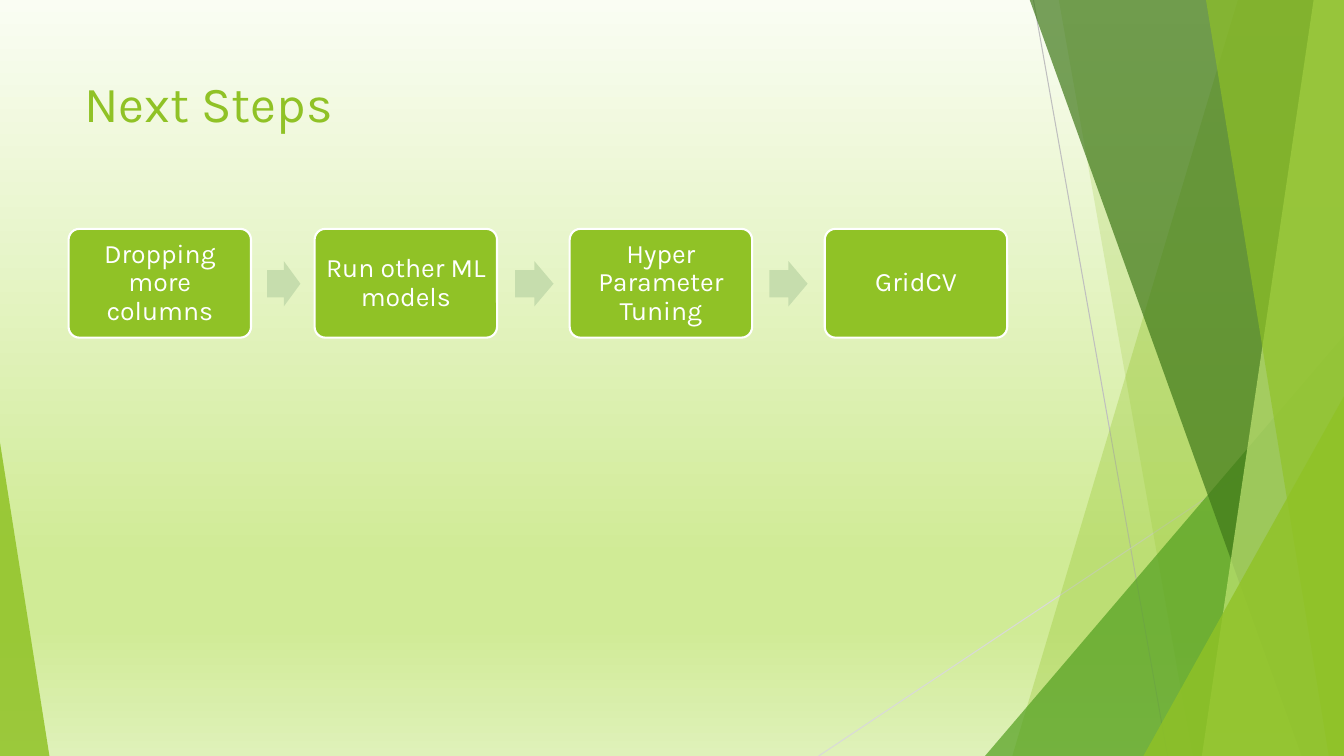
"""Build the Next Steps slide: a four-box process over green facets."""
from pptx import Presentation
from pptx.dml.color import RGBColor
from pptx.enum.shapes import MSO_CONNECTOR, MSO_SHAPE
from pptx.enum.text import MSO_ANCHOR, PP_ALIGN
from pptx.oxml.ns import qn
from pptx.util import Inches, Pt
from lxml.etree import SubElement


def paint(fill, color, alpha=100):
    fill.solid()
    fill.fore_color.rgb = RGBColor.from_string(color)
    if alpha < 100:
        node = fill._xPr.find(".//" + qn("a:srgbClr"))
        SubElement(node, qn("a:alpha"), val=str(alpha * 1000))


def write(frame, text, size, color):
    frame.word_wrap = True
    para = frame.paragraphs[0]
    run = para.add_run()
    run.text = text
    run.font.name, run.font.size = "Karla", Pt(size)
    run.font.color.rgb = RGBColor.from_string(color)
    return para


GREEN = "90C226"
WHITE = "FFFFFF"
deck = Presentation()
deck.slide_width, deck.slide_height = Inches(13.33), Inches(7.5)
slide = deck.slides.add_slide(deck.slide_layouts[6])
shapes = slide.shapes

back = slide.background.fill
back.gradient()
back.gradient_angle = 270
stops = slide.element.find(".//" + qn("a:gsLst"))
for stop in list(stops):
    stops.remove(stop)
for pos, color in [(0, "FAFDF3"), (74, "D0EB96"), (83, "D0EB96"), (100, "DFF1B9")]:
    stop = SubElement(stops, qn("a:gs"), pos=str(pos * 1000))
    SubElement(stop, qn("a:srgbClr"), val=color)

for ends, color in [((10.25, 0, 11.58, 7.5), "BFBFBF"),
                    ((13.33, 4.03, 8.12, 7.5), "D9D9D9")]:
    line = shapes.add_connector(MSO_CONNECTOR.STRAIGHT, *map(Inches, ends))
    paint(line.line.fill, color)
    line.line.width = Pt(0.75)
    SubElement(line.element.spPr, qn("a:effectLst"))

facets = [
    ("slant", (12.28, 10.04), GREEN, 30),
    ("slant", (10.5, 11.83), GREEN, 20),
    ("wedge", (9.77, 3.33, 3.56, 4.17, 1), "54A021", 72),
    ("slant", (10.21, 12.91), "3F7819", 70),
    ("slant", (13.03, 11.92), "C0E474", 70),
    ("slant", (11.96, 13.18), GREEN, 65),
    ("wedge", (11.34, 3.93, 1.99, 3.57, 1), GREEN, 80),
    ("wedge", (0, 4.39, 0.49, 3.11, 0), GREEN, 85),
]
for kind, dims, color, alpha in facets:
    if kind == "slant":
        top, foot = dims
        path = shapes.build_freeform(Inches(top), Inches(-0.01))
        rest = [(13.33, -0.01), (13.33, 7.5), (foot, 7.5)]
        path.add_line_segments([(Inches(x), Inches(y)) for x, y in rest])
        facet = path.convert_to_shape()
    else:
        *place, tip = dims
        facet = shapes.add_shape(MSO_SHAPE.ISOSCELES_TRIANGLE, *map(Inches, place))
        facet.adjustments[0] = tip
    facet.shadow.inherit = False
    facet.line.fill.background()
    paint(facet.fill, color, alpha)

title = shapes.add_textbox(Inches(0.74), Inches(0.67), Inches(9.4), Inches(1.44))
write(title.text_frame, "Next Steps", 36, GREEN)

steps = [
    ("Dropping more columns", 0.68),
    ("Run other ML models", 3.12),
    ("Hyper Parameter Tuning", 5.65),
    ("GridCV", 8.18),
]
style = {"vertical_anchor": MSO_ANCHOR.MIDDLE}
for side in ("left", "right", "top", "bottom"):
    style["margin_" + side] = Inches(0.08)
for text, left in steps:
    box = shapes.add_shape(MSO_SHAPE.ROUNDED_RECTANGLE, Inches(left), Inches(2.27),
                           Inches(1.81), Inches(1.08))
    box.adjustments[0] = 0.1
    box.shadow.inherit = False
    paint(box.fill, GREEN)
    paint(box.line.fill, WHITE)
    box.line.width = Pt(1.5)
    for key, value in style.items():
        setattr(box.text_frame, key, value)
    para = write(box.text_frame, text, 19, WHITE)
    para.alignment, para.line_spacing = PP_ALIGN.CENTER, 0.9

for left, width in [(2.65, 0.33), (5.11, 0.38), (7.63, 0.38)]:
    arrow = shapes.add_shape(MSO_SHAPE.RIGHT_ARROW, Inches(left), Inches(2.59),
                             Inches(width), Inches(0.45))
    arrow.adjustments[0], arrow.adjustments[1] = 0.6, 0.5
    arrow.shadow.inherit = False
    arrow.line.fill.background()
    paint(arrow.fill, "C6DDAD")

deck.save("out.pptx")
